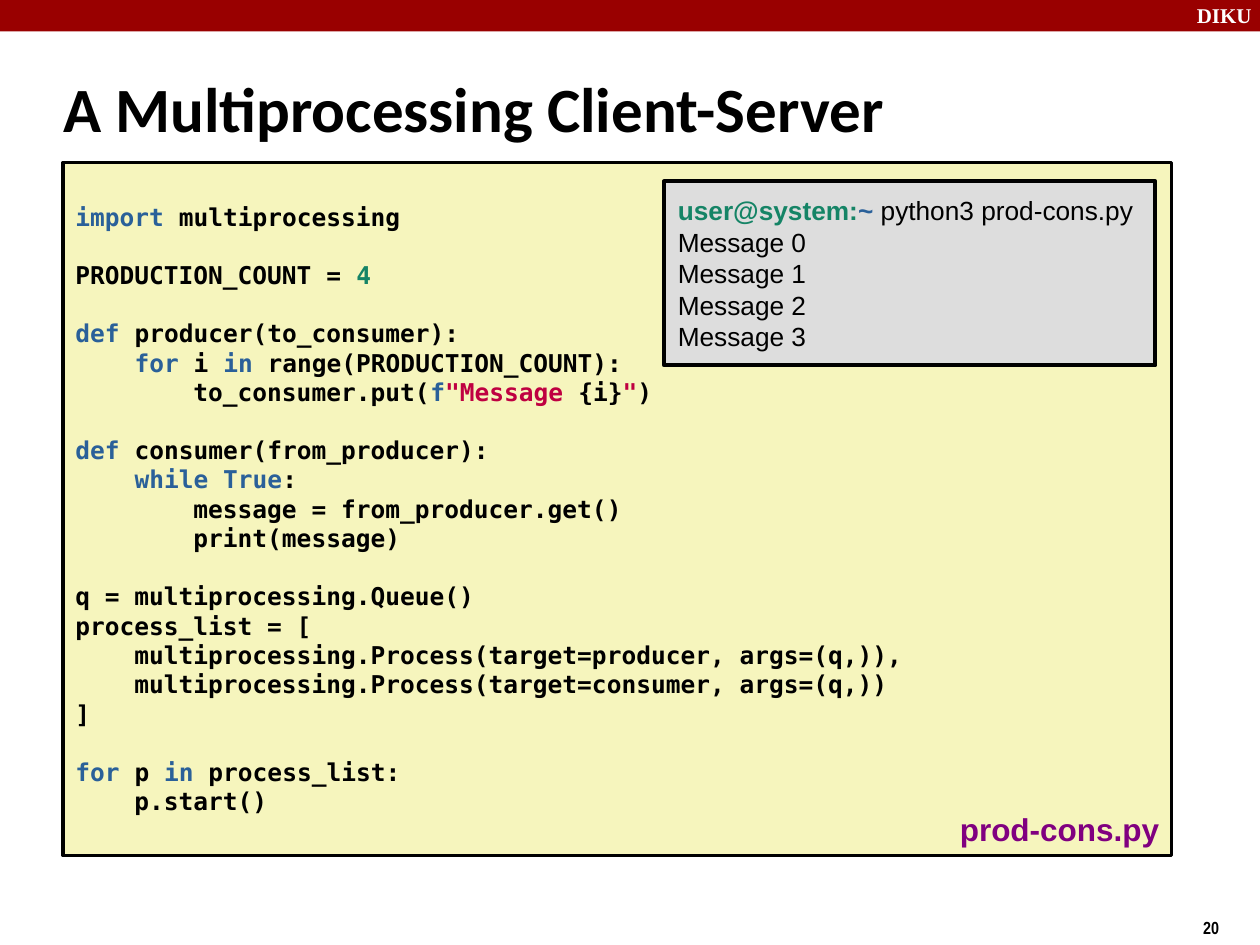
import pptx
import pptx.dml.color
import pptx.enum.shapes
import pptx.enum.text
import pptx.util
from dataclasses import dataclass

Inches, Pt = pptx.util.Inches, pptx.util.Pt
RGB = pptx.dml.color.RGBColor.from_string
ALIGN, ANCHOR = pptx.enum.text.PP_ALIGN, pptx.enum.text.MSO_ANCHOR


@dataclass(frozen=True)
class Theme:
    banner: str = "990000"
    white: str = "FFFFFF"
    ink: str = "000000"
    code_fill: str = "F6F5BD"
    terminal_fill: str = "DDDDDD"
    keyword: str = "2A6099"
    number: str = "158466"
    string: str = "BF0041"
    file_name: str = "800080"
    title_size: float = 36
    file_size: float = 18
    terminal_size: float = 15
    code_size: float = 14
    code_gap: float = 16.3
    banner_size: float = 12
    page_size: float = 10


theme = Theme()


def write(frame, lines, font, size, align=ALIGN.LEFT, gap=0):
    """Each line is a list of (text, colour, bold) runs; an empty line becomes
    a gap before the next paragraph."""
    frame.auto_size = pptx.enum.text.MSO_AUTO_SIZE.NONE
    paragraph, space = frame.paragraphs[0], 0
    for number, line in enumerate(lines):
        if not line:
            space = gap
            continue
        if number:
            paragraph = frame.add_paragraph()
        paragraph.alignment = align
        if space:
            paragraph.space_before = Pt(space)
        space = 0
        for text, colour, bold in line:
            run = paragraph.add_run()
            run.text = text
            run.font.color.rgb = RGB(colour)
            for name, value in {"name": font, "size": Pt(size), "bold": bold}.items():
                setattr(run.font, name, value)


def add_panel(box, fill, line_width=0):
    panel = slide.shapes.add_shape(
        pptx.enum.shapes.MSO_SHAPE.RECTANGLE, *map(Inches, box))
    panel.shadow.inherit = False
    panel.fill.solid()
    panel.fill.fore_color.rgb = RGB(fill)
    if line_width:
        panel.line.color.rgb = RGB(theme.ink)
        panel.line.width = Pt(line_width)
    else:
        panel.line.fill.background()
    panel.text_frame.word_wrap = False
    panel.text_frame.vertical_anchor = ANCHOR.MIDDLE
    return panel


deck = pptx.Presentation()
deck.slide_width, deck.slide_height = Inches(10), Inches(7.5)
slide = deck.slides.add_slide(deck.slide_layouts[5])

# Title
title = slide.shapes.title
title_box = {"left": 0.4, "top": 0.54, "width": 7.83, "height": 0.63}
for name, value in title_box.items():
    setattr(title, name, Inches(value))
title.text_frame.vertical_anchor = ANCHOR.MIDDLE
write(title.text_frame, [[("A Multiprocessing Client-Server", theme.ink, True)]],
      "Calibri", theme.title_size)

# Banner and code panel
add_panel((0, 0, 10, 0.25), theme.banner)
code = add_panel((0.5, 1.29, 8.8, 5.5), theme.code_fill, 2)

# Program text: K keyword, N number, S string, T plain
code_colours = {"K": theme.keyword, "N": theme.number,
                "S": theme.string, "T": theme.ink}
program = [
    [("K", "import"), ("T", " multiprocessing")],
    [],
    [("T", "PRODUCTION_COUNT = "), ("N", "4")],
    [],
    [("K", "def"), ("T", " producer(to_consumer):")],
    [("T", "    "), ("K", "for"), ("T", " i "), ("K", "in"),
     ("T", " range(PRODUCTION_COUNT):")],
    [("T", "        to_consumer.put("), ("K", "f"), ("S", '"Message'),
     ("T", " {i}"), ("S", '"'), ("T", ")")],
    [],
    [("K", "def"), ("T", " consumer(from_producer):")],
    [("T", "    "), ("K", "while True"), ("T", ":")],
    [("T", "        message = from_producer.get()")],
    [("T", "        print(message)")],
    [],
    [("T", "q = multiprocessing.Queue()")],
    [("T", "process_list = [")],
    [("T", "    multiprocessing.Process(target=producer, args=(q,)),")],
    [("T", "    multiprocessing.Process(target=consumer, args=(q,))")],
    [("T", "]")],
    [],
    [("K", "for"), ("T", " p "), ("K", "in"), ("T", " process_list:")],
    [("T", "    p.start()")],
]
write(code.text_frame,
      [[(text, code_colours[kind], True) for kind, text in line] for line in program],
      "DejaVu Sans Mono", theme.code_size, gap=theme.code_gap)

# Terminal session
terminal = add_panel((5.27, 1.44, 3.9, 1.46), theme.terminal_fill, 2.3)
margins = {"margin_left": 0.11, "margin_right": 0.11,
           "margin_top": 0.06, "margin_bottom": 0.06}
for name, value in margins.items():
    setattr(terminal.text_frame, name, Inches(value))
session = [[("user@system:", theme.number, True), ("~", theme.keyword, True),
            (" python3 prod-cons.py", theme.ink, False)]]
session += [[(f"Message {i}", theme.ink, False)] for i in range(4)]
write(terminal.text_frame, session, "Arial", theme.terminal_size)

# Department, page number and file name
labels = [
    ("DIKU", (9.4, -0.03, 0.67, 0.3), "Times New Roman", theme.banner_size,
     theme.white, ALIGN.LEFT),
    ("20", (9.45, 7.23, 0.75, 0.29), "Arial Narrow", theme.page_size,
     theme.ink, ALIGN.LEFT),
    ("prod-cons.py", (7.5, 6.38, 1.8, 0.4), "Arial", theme.file_size,
     theme.file_name, ALIGN.RIGHT),
]
for text, box, font, size, colour, align in labels:
    label = slide.shapes.add_textbox(*map(Inches, box))
    label.text_frame.word_wrap = True
    write(label.text_frame, [[(text, colour, True)]], font, size, align)

deck.save("out.pptx")
